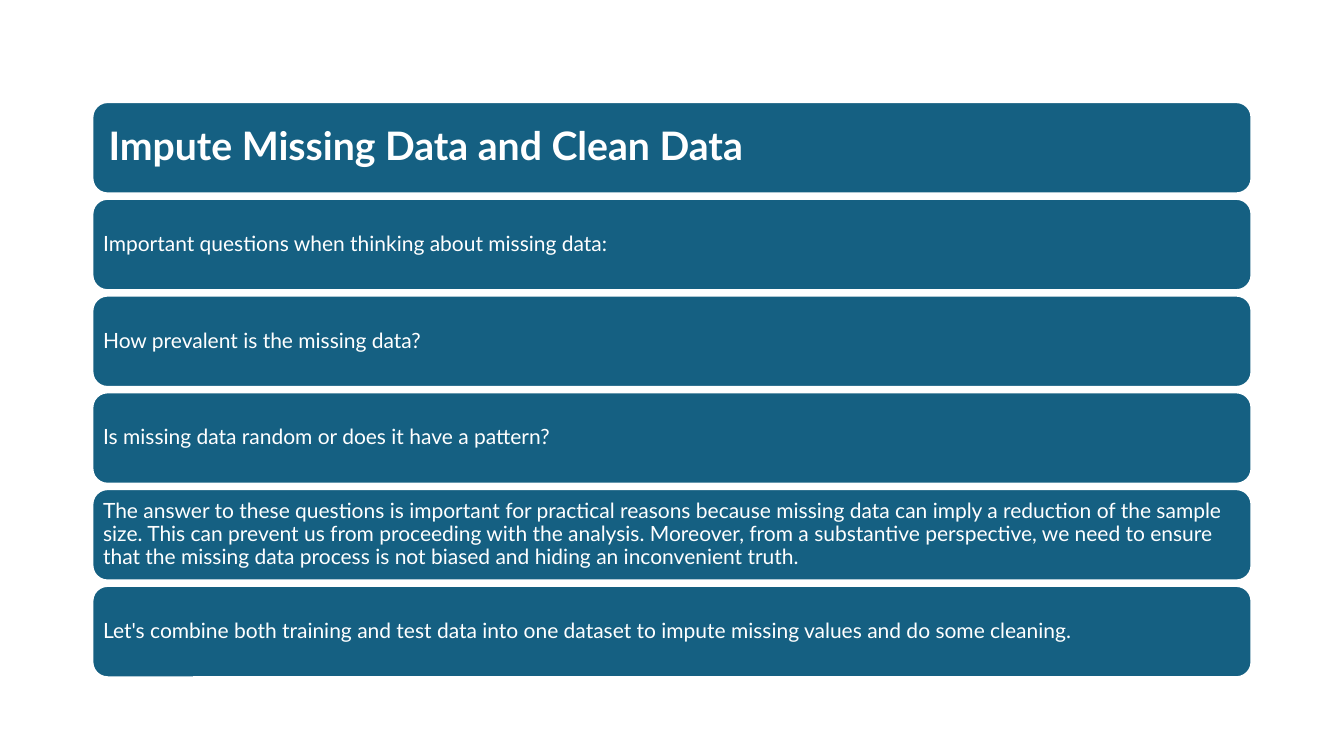
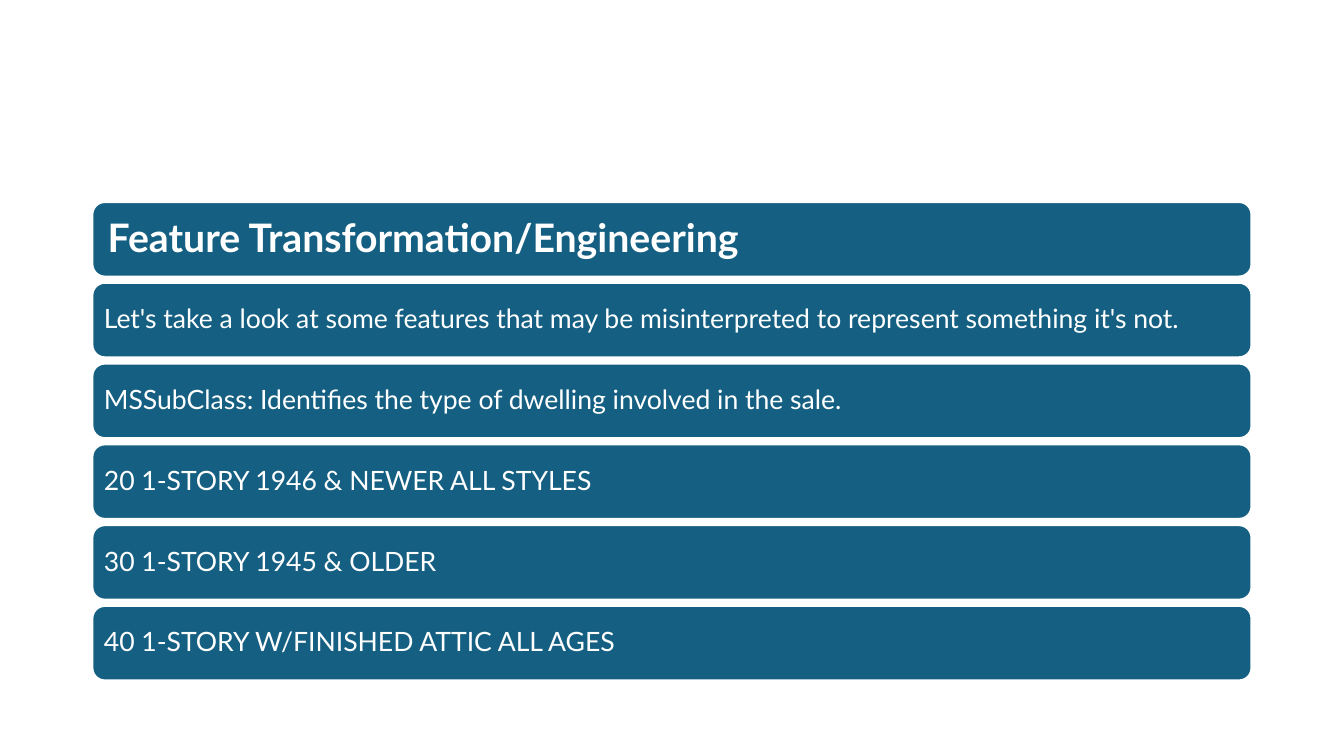
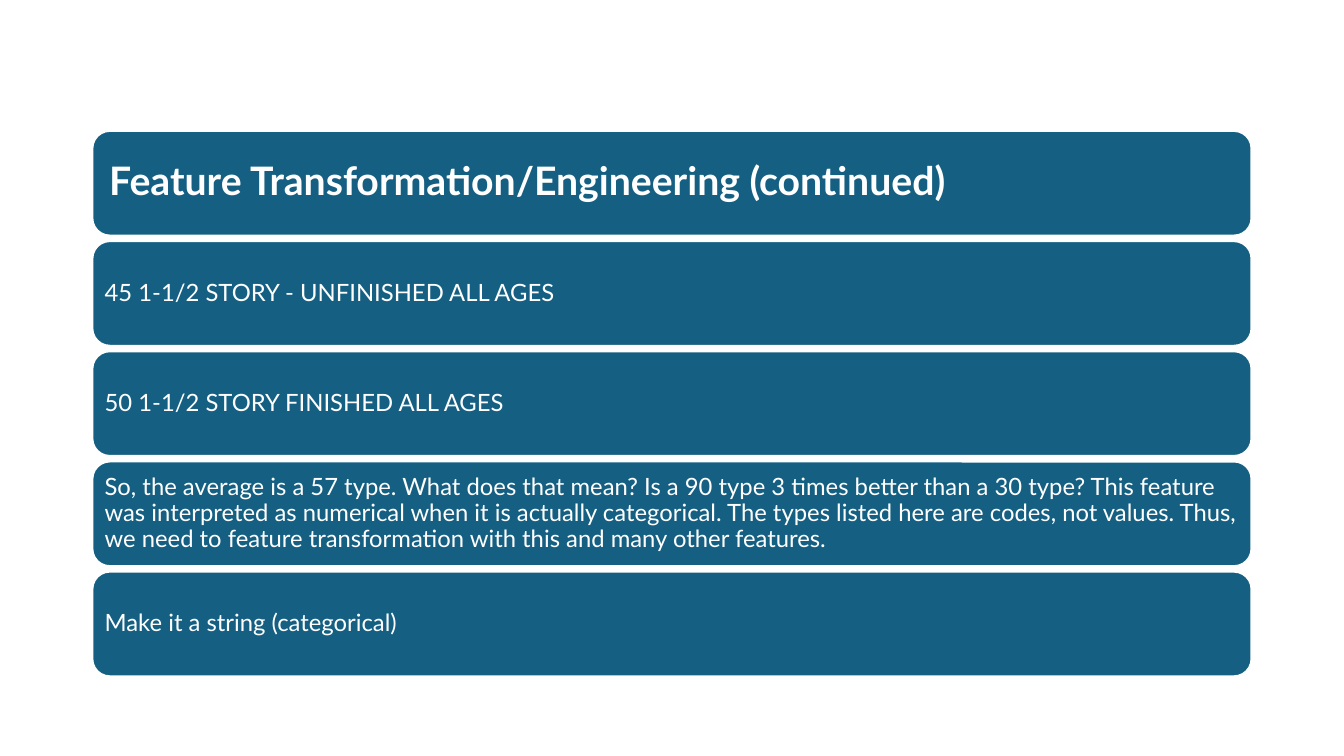
from pptx import Presentation
from pptx.dml.color import RGBColor
from pptx.enum.shapes import MSO_SHAPE
from pptx.enum.text import MSO_ANCHOR, PP_ALIGN
from pptx.util import Pt

ROUNDED = MSO_SHAPE.ROUNDED_RECTANGLE
MIDDLE = MSO_ANCHOR.MIDDLE
LEFT = PP_ALIGN.LEFT

# Shared look, lengths in points
COLORS = {"bar": "156082", "white": "FFFFFF"}
FONT = "Lato"
SLIDE_SIZE = (960, 540)
BAR_LEFT, BAR_WIDTH = 66, 828
OUTLINE = 1.5
TITLE_SIZE = 28
INSET_RATIO = 0.3  # text margin as a share of the font size
LINE_SPACING = 0.9

# Each slide is a stack: the first bar is the title
STACKS = [
    {
        "top": 72.9, "height": 65.3, "pitch": 69.12, "size": 15,
        "title": "Impute Missing Data and Clean Data",
        "items": [
            "Important questions when thinking about missing data:",
            "How prevalent is the missing data?",
            "Is missing data random or does it have a pattern?",
            "The answer to these questions is important for practical reasons "
            "because missing data can imply a reduction of the sample size. "
            "This can prevent us from proceeding with the analysis. Moreover, "
            "from a substantive perspective, we need to ensure that the "
            "missing data process is not biased and hiding an inconvenient "
            "truth.",
            "Let's combine both training and test data into one dataset to "
            "impute missing values and do some cleaning.",
        ],
    },
    {
        "top": 144.3, "height": 53.3, "pitch": 57.7, "size": 19,
        "title": "Feature Transformation/Engineering",
        "items": [
            "Let's take a look at some features that may be misinterpreted "
            "to represent something it's not.",
            "MSSubClass: Identifies the type of dwelling involved in the sale.",
            "20 1-STORY 1946 & NEWER ALL STYLES",
            "30 1-STORY 1945 & OLDER",
            "40 1-STORY W/FINISHED ATTIC ALL AGES",
        ],
    },
    {
        "top": 93.5, "height": 74.8, "pitch": 78.7, "size": 17,
        "title": "Feature Transformation/Engineering (continued)",
        "items": [
            "45 1-1/2 STORY - UNFINISHED ALL AGES",
            "50 1-1/2 STORY FINISHED ALL AGES",
            "So, the average is a 57 type. What does that mean? Is a 90 type "
            "3 times better than a 30 type? This feature was interpreted as "
            "numerical when it is actually categorical. The types listed here "
            "are codes, not values. Thus, we need to feature transformation "
            "with this and many other features.",
            "Make it a string (categorical)",
        ],
    },
]


def color(name):
    return RGBColor.from_string(COLORS[name])


def set_values(target, values):
    for name, value in values.items():
        setattr(target, name, value)


def add_bar(page, top, height, text, size, bold):
    box = page.shapes.add_shape(
        ROUNDED, Pt(BAR_LEFT), Pt(top), Pt(BAR_WIDTH), Pt(height))
    box.shadow.inherit = False
    box.fill.solid()
    box.fill.fore_color.rgb = color("bar")
    box.line.color.rgb = color("white")
    box.line.width = Pt(OUTLINE)

    # Text
    inset = Pt(size * INSET_RATIO)
    frame = box.text_frame
    set_values(frame, {
        "word_wrap": True, "vertical_anchor": MIDDLE,
        "margin_left": inset, "margin_top": inset,
        "margin_right": inset, "margin_bottom": inset,
    })
    para = frame.paragraphs[0]
    set_values(para, {"alignment": LEFT, "line_spacing": LINE_SPACING})
    span = para.add_run()
    span.text = text
    set_values(span.font, {"name": FONT, "size": Pt(size), "bold": bold})
    span.font.color.rgb = color("white")


def add_stack(page, stack):
    for row, text in enumerate([stack["title"], *stack["items"]]):
        is_title = row == 0
        add_bar(page, stack["top"] + row * stack["pitch"], stack["height"],
                text, TITLE_SIZE if is_title else stack["size"], is_title)


def main():
    deck = Presentation()
    deck.slide_width, deck.slide_height = map(Pt, SLIDE_SIZE)
    blank = deck.slide_layouts[6]
    for stack in STACKS:
        add_stack(deck.slides.add_slide(blank), stack)
    deck.save("out.pptx")


if __name__ == "__main__":
    main()
